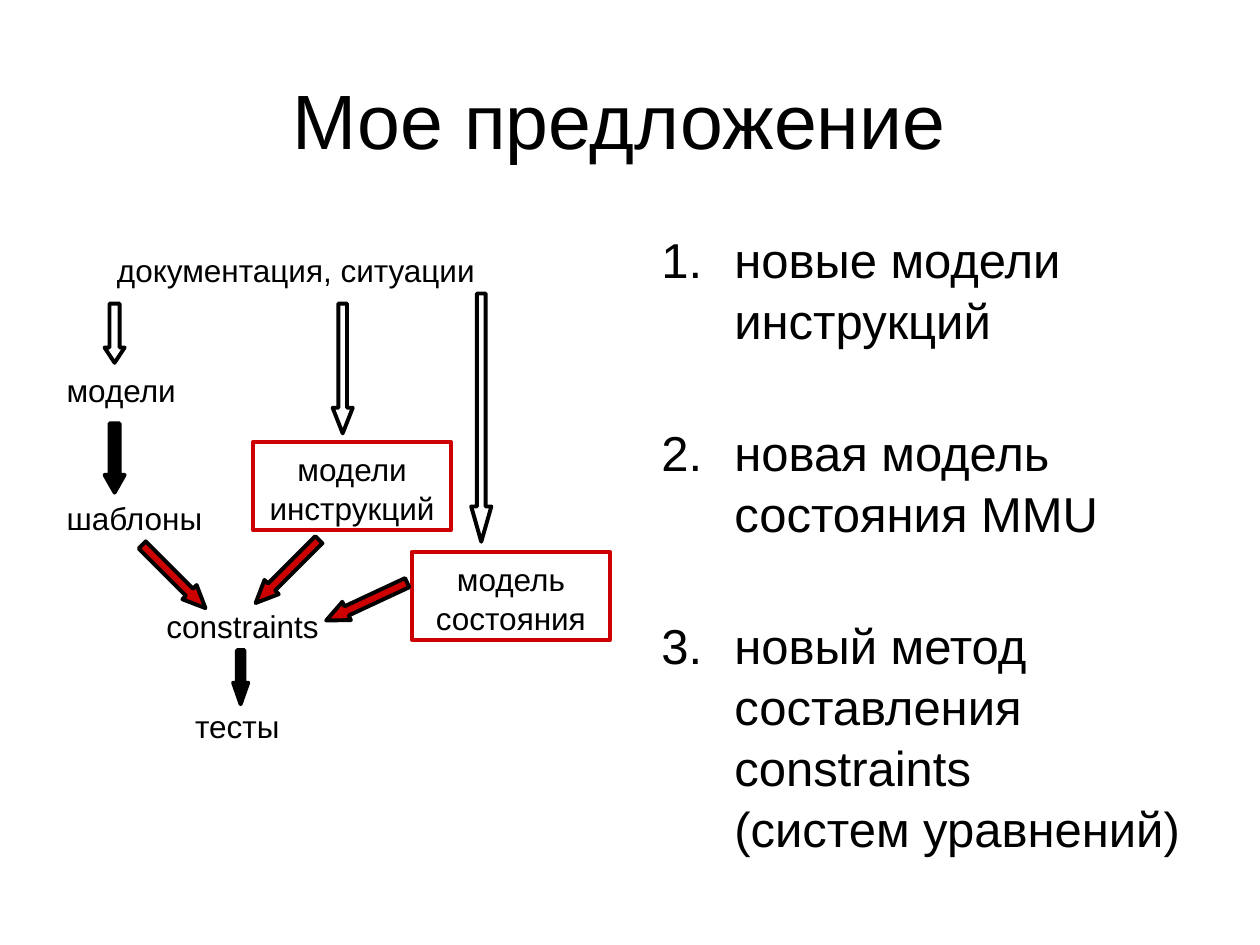
from lxml.etree import SubElement
from pptx import Presentation
from pptx.dml.color import RGBColor
from pptx.enum.shapes import MSO_SHAPE as Shape
from pptx.enum.text import MSO_ANCHOR as Anchor, PP_ALIGN as Align
from pptx.oxml.ns import qn
from pptx.util import Inches, Pt

BLACK, RED = "000000", "CC0000"


def color(hex_value):
    return RGBColor.from_string(hex_value)


def write(shape, paragraphs, size=18, align=Align.LEFT, anchor=Anchor.TOP,
          wrap=True, before=0, after=0):
    """Fill a shape with paragraphs that share one format."""
    frame = shape.text_frame
    frame.word_wrap = wrap
    frame.vertical_anchor = anchor
    for index, words in enumerate(paragraphs):
        paragraph = frame.add_paragraph() if index else frame.paragraphs[0]
        paragraph.text = words
        paragraph.alignment = align
        paragraph.line_spacing = 1.04
        paragraph.space_before, paragraph.space_after = Pt(before), Pt(after)
        for run in paragraph.runs:
            run.font.name, run.font.size = "Arial", Pt(size)
            run.font.color.rgb = color(BLACK)
    return frame


def add_text(slide, box, paragraphs, **text_format):
    textbox = slide.shapes.add_textbox(*map(Inches, box))
    return write(textbox, paragraphs, **text_format)


def add_outlined(slide, kind, box, line, fill=None):
    shape = slide.shapes.add_shape(kind, *map(Inches, box))
    shape.shadow.inherit = False
    if fill:
        shape.fill.solid()
        shape.fill.fore_color.rgb = color(fill)
    else:
        shape.fill.background()
    shape.line.color.rgb = color(line)
    shape.line.width = Pt(2.25)
    return shape


def add_arrow(slide, box, shaft, head, fill=None, rotation=0):
    arrow = add_outlined(slide, Shape.DOWN_ARROW, box, BLACK, fill)
    arrow.adjustments[0], arrow.adjustments[1] = shaft, head
    arrow.rotation = rotation


def build_title(slide, box):
    add_text(slide, box, ["Мое предложение "], size=44,
             align=Align.CENTER, anchor=Anchor.MIDDLE)


def build_proposals(slide, box):
    proposals = ["новые модели инструкций",
                 "новая модель состояния MMU",
                 "новый метод составления constraints\v(систем уравнений)"]
    frame = add_text(slide, box, proposals, size=28, before=7, after=33.5)
    # Automatic numbers with a hanging indent
    for paragraph in frame.paragraphs:
        properties = paragraph._p.get_or_add_pPr()
        properties.set("marL", str(Inches(0.58)))
        properties.set("indent", str(Inches(-0.58)))
        SubElement(properties, qn("a:buFont")).set("typeface", "Arial")
        SubElement(properties, qn("a:buAutoNum")).set("type", "arabicPeriod")


def build_diagram(slide, box):
    left, top = box[:2]

    def place(x, y, width, height):
        return left + x, top + y, width, height

    # Plain labels: x, y, width, text, alignment, wrapping
    labels = [(0.4, 0, 3.07, "документация, ситуации", Align.LEFT, True),
              (0, 0.95, 1.08, "модели", Align.LEFT, False),
              (0, 1.97, 1.28, "шаблоны", Align.LEFT, False),
              (0.71, 2.83, 1.57, "constraints", Align.CENTER, True),
              (1.02, 3.62, 0.87, "тесты", Align.LEFT, False)]
    for x, y, width, words, align, wrap in labels:
        add_text(slide, place(x, y, width, 0.4), [words], align=align, wrap=wrap)

    # New models in red frames
    for x, y, words in [(1.58, 1.58, "модели инструкций"),
                        (2.84, 2.45, "модель состояния")]:
        model = add_outlined(slide, Shape.RECTANGLE, place(x, y, 1.57, 0.7), RED)
        write(model, [words], align=Align.CENTER)

    # Hollow arrows from the documentation, black ones between the steps
    for x, y, width, height, shaft, head, fill in [
            (0.4, 0.48, 0.16, 0.47, 0.5, 0.76, None),
            (2.21, 0.48, 0.16, 1.03, 0.43, 1.27, None),
            (3.31, 0.4, 0.16, 1.97, 0.43, 1.75, None),
            (0.4, 1.43, 0.16, 0.55, 0.5, 0.88, BLACK),
            (1.42, 3.23, 0.12, 0.43, 0.5, 1.42, BLACK)]:
        add_arrow(slide, place(x, y, width, height), shaft, head, fill)

    # Red arrows that meet at the constraints
    for x, y, rotation in [(0.87, 2.29, 315), (1.77, 2.25, 45), (2.4, 2.49, 65)]:
        add_arrow(slide, place(x, y, 0.16, 0.71), 0.5, 1.12, RED, rotation)


def main():
    deck = Presentation()
    deck.slide_width, deck.slide_height = Inches(10), Inches(7.5)
    slide = deck.slides.add_slide(deck.slide_layouts[6])
    build_title(slide, (0.5, 0.3, 9, 1.25))
    build_proposals(slide, (5.15, 1.75, 4.49, 5.39))
    build_diagram(slide, (0.43, 1.93, 4.41, 4.02))
    deck.save("out.pptx")


if __name__ == "__main__":
    main()
